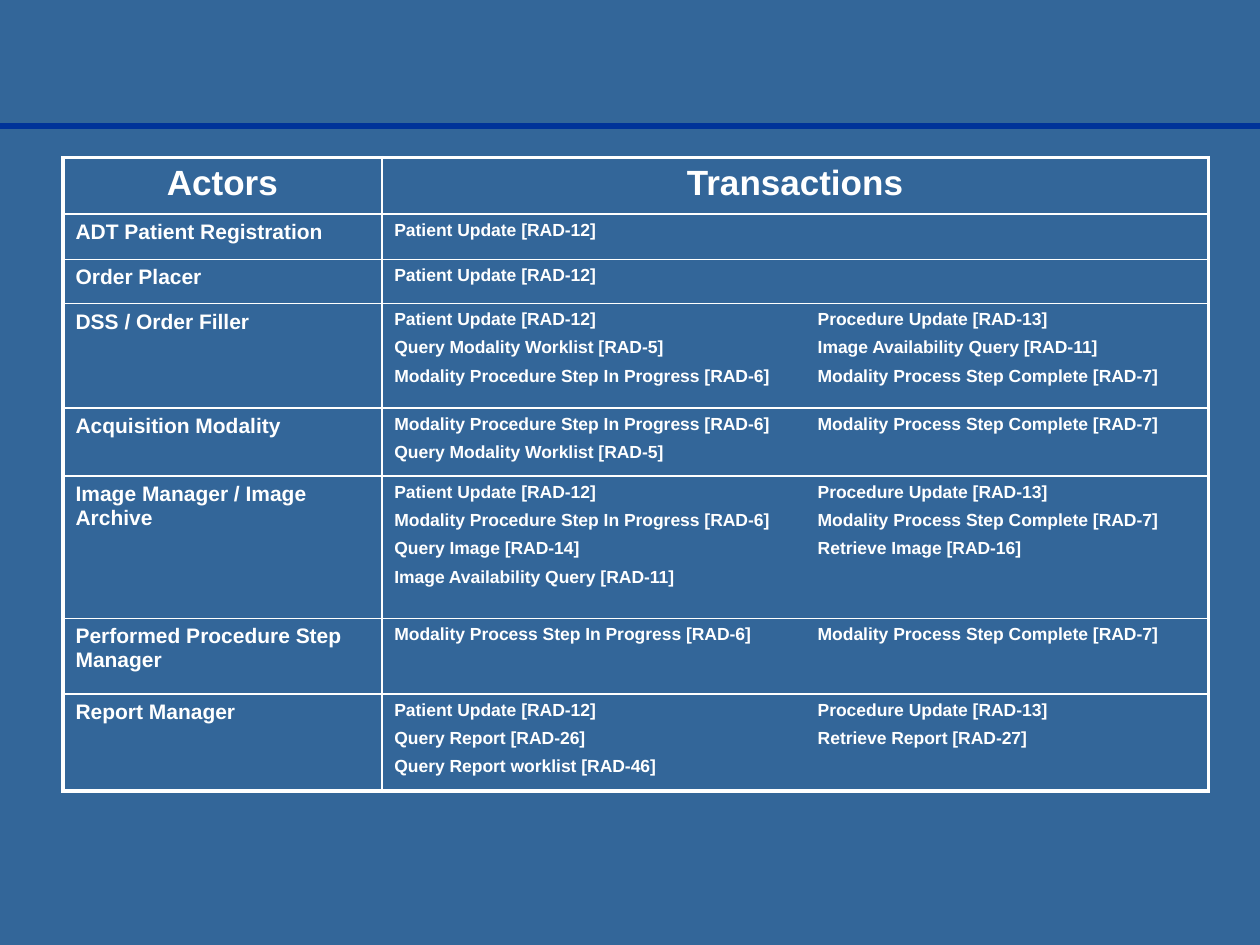
from lxml import etree
from pptx import Presentation
from pptx.dml.color import RGBColor
from pptx.enum.shapes import MSO_CONNECTOR
from pptx.enum.text import PP_ALIGN
from pptx.oxml.ns import qn
from pptx.util import Inches, Pt

STRAIGHT = MSO_CONNECTOR.STRAIGHT
LEFT, CENTER = PP_ALIGN.LEFT, PP_ALIGN.CENTER

COLORS = {"back": "336699", "rule": "003399", "white": "FFFFFF"}
FONT = "Arial"
TAB = 3.36
THICK, THIN = 2.25, 1
COLS = [2.53, 6.56]

UPDATE = "Patient Update [RAD-12]"
UPDATES = UPDATE + "\tProcedure Update [RAD-13]"
WORKLIST = "Query Modality Worklist [RAD-5]"
AVAIL = "Image Availability Query [RAD-11]"
COMPLETE = "Modality Process Step Complete [RAD-7]"
STEPS = "Modality Procedure Step In Progress [RAD-6]\t" + COMPLETE

# actor, transactions, row height
ROWS = [
    ("ADT Patient Registration", [UPDATE], 0.36),
    ("Order Placer", [UPDATE], 0.35),
    ("DSS / Order Filler", [UPDATES, WORKLIST + "\t" + AVAIL, STEPS], 0.83),
    ("Acquisition Modality", [STEPS, WORKLIST], 0.54),
    ("Image Manager / Image Archive",
     [UPDATES, STEPS,
      "Query Image [RAD-14]\tRetrieve Image [RAD-16]", AVAIL], 1.13),
    ("Performed Procedure Step Manager",
     ["Modality Process Step In Progress [RAD-6]\t" + COMPLETE], 0.6),
    ("Report Manager",
     [UPDATES, "Query Report [RAD-26]\tRetrieve Report [RAD-27]",
      "Query Report worklist [RAD-46]"], 0.77),
]
HEAD = 0.45


def color(name):
    return RGBColor.from_string(COLORS[name])


def add_rule(slide, top):
    rule = slide.shapes.add_connector(
        STRAIGHT, Inches(0), Inches(top), Inches(10), Inches(top))
    rule.line.color.rgb = color("rule")
    rule.line.width = Pt(3)
    etree.SubElement(rule._element.spPr, qn("a:effectLst"))


def add_tab(para, pos):
    tabs = etree.SubElement(para._p.get_or_add_pPr(), qn("a:tabLst"))
    etree.SubElement(tabs, qn("a:tab"), pos=str(Inches(pos)), algn="l")


def write(cell, lines, size=10, align=LEFT):
    frame = cell.text_frame
    for i, line in enumerate(lines):
        para = frame.add_paragraph() if i else frame.paragraphs[0]
        if "\t" in line:
            add_tab(para, TAB)
        if i:
            para.space_before = Pt(size / 2)
        para.alignment = align
        run = para.add_run()
        run.text = line
        run.font.name = FONT
        run.font.size = Pt(size)
        run.font.bold = True
        run.font.color.rgb = color("white")


def set_edges(cell, widths):
    """Draw the cell's borders; widths are left, right, top, bottom."""
    cell.fill.background()
    props = cell._tc.get_or_add_tcPr()
    for i, (side, width) in enumerate(zip("LRTB", widths)):
        edge = etree.Element(qn("a:ln" + side), w=str(Pt(width)))
        fill = etree.SubElement(edge, qn("a:solidFill"))
        etree.SubElement(fill, qn("a:srgbClr"), val=COLORS["white"])
        props.insert(i, edge)


def add_grid(slide):
    heights = [HEAD] + [row[2] for row in ROWS]
    count = len(heights)
    table = slide.shapes.add_table(
        count, 2, Inches(0.5), Inches(1.25),
        Inches(sum(COLS)), Inches(sum(heights))).table
    table.first_row = table.horz_banding = False
    for col, width in zip(table.columns, COLS):
        col.width = Inches(width)
    for row, height in zip(table.rows, heights):
        row.height = Inches(height)

    for c, head in enumerate(["Actors", "Transactions"]):
        write(table.cell(0, c), [head], size=20, align=CENTER)
    for r, (actor, deals, _) in enumerate(ROWS, 1):
        write(table.cell(r, 0), [actor], size=12)
        write(table.cell(r, 1), deals)

    for r in range(count):
        for c in range(2):
            outer = (c == 0, c == 1, r == 0, r == count - 1)
            set_edges(table.cell(r, c), [THICK if o else THIN for o in outer])


def main():
    deck = Presentation()
    deck.slide_width, deck.slide_height = Inches(10), Inches(7.5)
    slide = deck.slides.add_slide(deck.slide_layouts[6])
    slide.background.fill.solid()
    slide.background.fill.fore_color.rgb = color("back")
    add_rule(slide, 1)
    add_grid(slide)
    deck.save("out.pptx")


if __name__ == "__main__":
    main()
